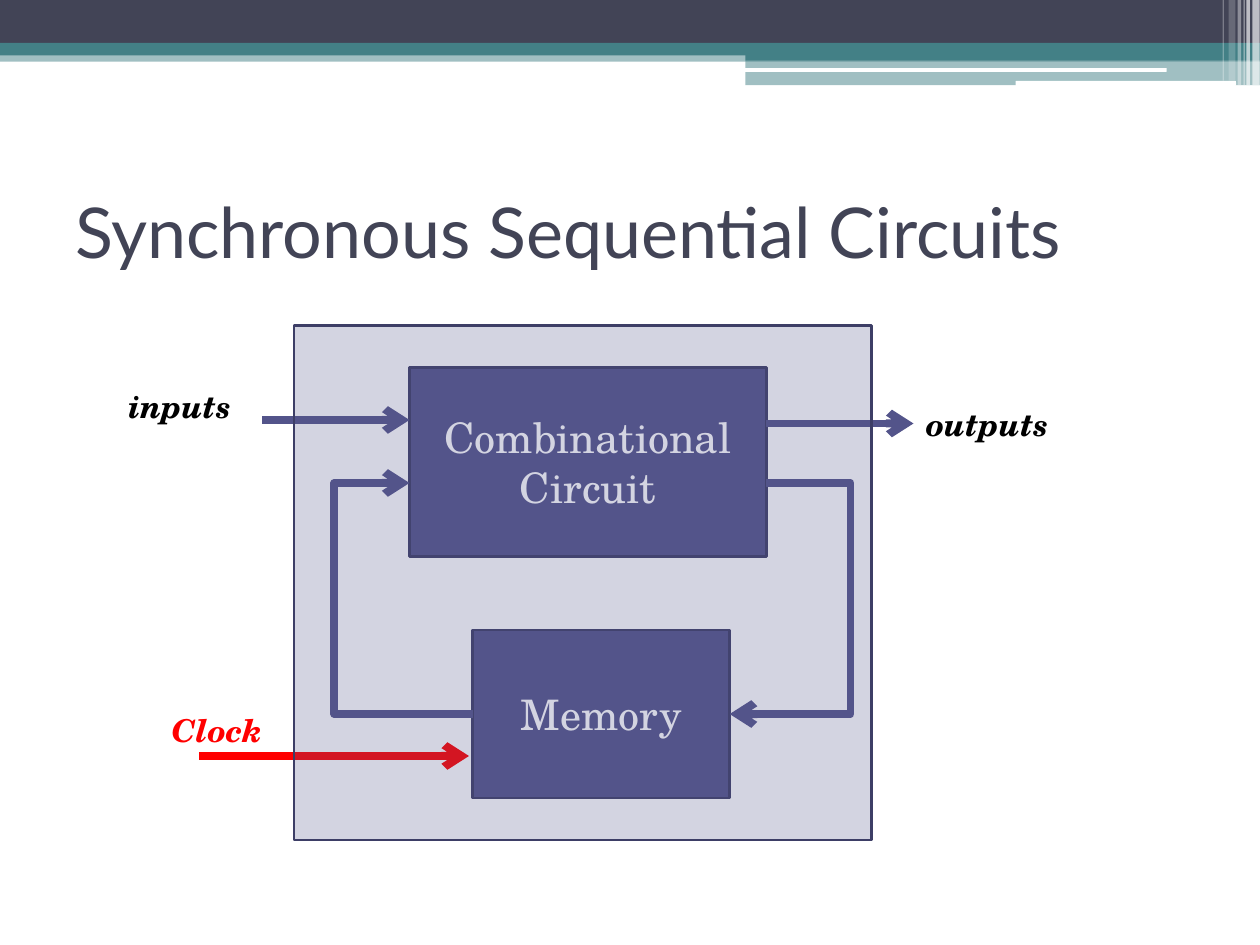
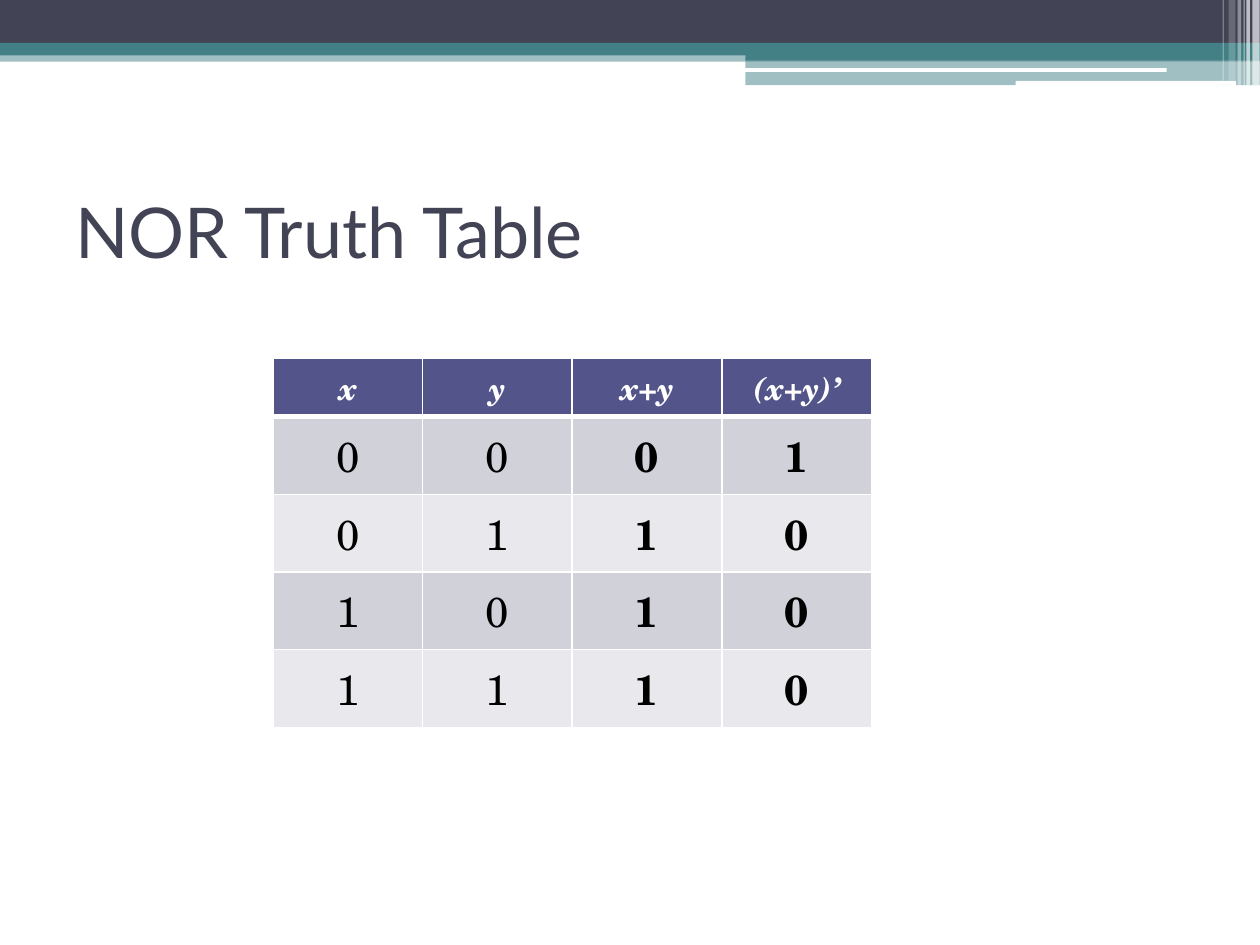
import dataclasses

import lxml.etree
import pptx
import pptx.dml.color
import pptx.enum.shapes
import pptx.enum.text
import pptx.oxml.ns
import pptx.util

Pt = pptx.util.Pt
qn = pptx.oxml.ns.qn
SHAPES = pptx.enum.shapes.MSO_SHAPE
CONNECTORS = pptx.enum.shapes.MSO_CONNECTOR
ALIGN = pptx.enum.text.PP_ALIGN
ANCHOR = pptx.enum.text.MSO_ANCHOR


@dataclasses.dataclass(frozen=True)
class Theme:
    title_font: str = "Lato"
    body_font: str = "TeX Gyre Schola"
    title_size: float = 40
    block_size: float = 24
    label_size: float = 18
    wire_width: float = 4.5
    outline_width: float = 1.5
    ink: str = "424456"
    teal: str = "438086"
    indigo: str = "53548A"
    outline: str = "3D3E66"
    clock: str = "FF0000"
    white: str = "FFFFFF"
    black: str = "000000"
    row_fills: tuple = ("D1D1DA", "E9E9ED")


THEME = Theme()


@dataclasses.dataclass(frozen=True)
class Box:
    left: float
    top: float
    width: float
    height: float

    def inner(self, left, top, width, height):
        return Box(self.left + left, self.top + top, width, height)

    def point(self, x, y):
        return self.left + x, self.top + y

    def lengths(self):
        return [Pt(v) for v in (self.left, self.top, self.width, self.height)]


PAGE = Box(0, 0, 720, 540)
TITLE = Box(36, 90, 648, 84)
DIAGRAM = Box(168, 186, 330, 294)
TRUTH_TABLE = Box(156, 204.5, 342, 211.2)


def rgb(color):
    return pptx.dml.color.RGBColor.from_string(color)


def style_text(paragraph, font, size, color, bold=False, italic=False):
    paragraph.font.name = font
    paragraph.font.size = Pt(size)
    paragraph.font.color.rgb = rgb(color)
    paragraph.font.bold = bold
    paragraph.font.italic = italic


def add_panel(slide, box, color, opacity=100, outline=None, kind=SHAPES.RECTANGLE):
    panel = slide.shapes.add_shape(kind, *box.lengths())
    panel.shadow.inherit = False
    panel.fill.solid()
    panel.fill.fore_color.rgb = rgb(color)
    if opacity < 100:
        fill_color = panel.element.xpath("./p:spPr/a:solidFill/a:srgbClr")[0]
        lxml.etree.SubElement(fill_color, qn("a:alpha"), val=str(opacity * 1000))
    if outline:
        panel.line.color.rgb = rgb(outline)
        panel.line.width = Pt(THEME.outline_width)
    else:
        panel.line.fill.background()
    return panel


def add_block(slide, box, name):
    block = add_panel(slide, box, THEME.indigo, outline=THEME.outline)
    block.text_frame.word_wrap = True
    block.text_frame.vertical_anchor = ANCHOR.MIDDLE
    paragraph = block.text_frame.paragraphs[0]
    paragraph.text = name
    paragraph.alignment = ALIGN.CENTER
    style_text(paragraph, THEME.body_font, THEME.block_size, THEME.white)


def add_label(slide, box, name, color=THEME.black):
    frame = slide.shapes.add_textbox(*box.lengths()).text_frame
    frame.word_wrap = False
    frame.auto_size = pptx.enum.text.MSO_AUTO_SIZE.SHAPE_TO_FIT_TEXT
    paragraph = frame.paragraphs[0]
    paragraph.text = name
    style_text(paragraph, THEME.body_font, THEME.label_size, color, True, True)


def add_wire(slide, start, end, color=THEME.indigo, lane=None):
    """Draw an arrow; lane is the x of the vertical run of a bent one."""
    kind = CONNECTORS.STRAIGHT if lane is None else CONNECTORS.ELBOW
    wire = slide.shapes.add_connector(kind, *[Pt(v) for v in (*start, *end)])
    wire.line.color.rgb = rgb(color)
    wire.line.width = Pt(THEME.wire_width)
    properties = wire.element.spPr
    lxml.etree.SubElement(properties.find(qn("a:ln")), qn("a:tailEnd"), type="arrow")
    lxml.etree.SubElement(properties, qn("a:effectLst"))
    if lane is not None:
        bend = round((lane - start[0]) / (end[0] - start[0]) * 100000)
        guides = properties.find(qn("a:prstGeom")).get_or_add_avLst()
        lxml.etree.SubElement(guides, qn("a:gd"), name="adj1", fmla=f"val {bend}")
        # A double flip is written as a half turn
        frame = properties.find(qn("a:xfrm"))
        if frame.get("flipH") and frame.get("flipV"):
            del frame.attrib["flipH"], frame.attrib["flipV"]
            frame.set("rot", "10800000")


def add_header_bands(slide, page):
    # Full-width bands, then the deeper step at the right
    for left, top, height, color, opacity in (
        (0, 28.8, 6.5, THEME.teal, 50),
        (0, 0, 24.5, THEME.ink, 100),
        (0, 24.5, 7.2, THEME.teal, 100),
        (426, 28, 6.7, THEME.teal, 100),
        (426, 34.7, 14, THEME.teal, 50),
    ):
        band = page.inner(left, top, page.width - left, height)
        add_panel(slide, band, color, opacity)

    # White rules
    for rule in ((425.5, 38.9, 241.2, 2.2), (580.3, 46.2, 126, 2.9)):
        add_panel(slide, page.inner(*rule), THEME.white, kind=SHAPES.ROUNDED_RECTANGLE)

    # Translucent stripes in the corner
    for left, width, height, opacity in (
        (715.6, 4.2, 48.7, 65),
        (712.2, 2, 48.7, 65),
        (710.6, 0.7, 48.7, 60),
        (707.2, 2, 48.7, 40),
        (702, 4, 46.1, 20),
        (698.7, 0.7, 46.1, 30),
    ):
        add_panel(slide, page.inner(left, 0, width, height), THEME.white, opacity)


def add_title(slide, box, title):
    frame = slide.shapes.add_textbox(*box.lengths()).text_frame
    frame.word_wrap = True
    frame.vertical_anchor = ANCHOR.MIDDLE
    paragraph = frame.paragraphs[0]
    paragraph.text = title
    style_text(paragraph, THEME.title_font, THEME.title_size, THEME.ink)


def add_circuit_diagram(slide, box):
    # Combinational circuit with its inputs and outputs
    add_block(slide, box.inner(66, 24, 204, 108), "Combinational Circuit")
    add_wire(slide, box.point(-18, 54), box.point(66, 54))
    add_label(slide, box.inner(-102, 31.5, 75, 29), "inputs")
    add_wire(slide, box.point(270, 56), box.point(354, 56))
    add_label(slide, box.inner(354, 42, 88, 29), "outputs")

    # Memory and the feedback loop
    add_block(slide, box.inner(102, 174, 147, 96), "Memory")
    right_lane, left_lane = box.left + 318, box.left + 23
    add_wire(slide, box.point(270, 90), box.point(249, 222), lane=right_lane)
    add_wire(slide, box.point(102, 222), box.point(66, 90), lane=left_lane)

    # Clock
    add_wire(slide, box.point(-54, 246), box.point(100, 246), THEME.clock)
    add_label(slide, box.inner(-77, 217, 67, 29), "Clock", THEME.clock)

    # Translucent system boundary lies over the blocks and wires
    add_panel(slide, box, THEME.indigo, 25, THEME.outline)


def add_cell_borders(cell, **widths):
    properties = cell._tc.get_or_add_tcPr()
    for side in "LRTB":
        width = Pt(widths.get(side, 1))
        border = lxml.etree.SubElement(properties, qn(f"a:ln{side}"), w=str(width))
        fill = lxml.etree.SubElement(border, qn("a:solidFill"))
        lxml.etree.SubElement(fill, qn("a:srgbClr"), val=THEME.white)


def add_truth_table(slide, box):
    header = ("x", "y", "x+y", "(x+y)’")
    inputs = [(x, y) for x in (0, 1) for y in (0, 1)]
    rows = [header] + [(x, y, x | y, 1 - (x | y)) for x, y in inputs]
    header_height = 33.6
    row_height = (box.height - header_height) / len(inputs)

    table = slide.shapes.add_table(len(rows), len(header), *box.lengths()).table
    table.first_row = table.horz_banding = False
    for column in table.columns:
        column.width = Pt(box.width / len(header))

    for r, values in enumerate(rows):
        is_header = r == 0
        table.rows[r].height = Pt(header_height if is_header else row_height)
        heavy = {0: {"B": 3}, 1: {"T": 3}}.get(r, {})
        for c, value in enumerate(values):
            cell = table.cell(r, c)
            add_cell_borders(cell, **heavy)
            cell.fill.solid()
            fill = THEME.indigo if is_header else THEME.row_fills[(r - 1) % 2]
            cell.fill.fore_color.rgb = rgb(fill)
            cell.vertical_anchor = ANCHOR.MIDDLE
            paragraph = cell.text_frame.paragraphs[0]
            paragraph.text = str(value)
            paragraph.alignment = ALIGN.CENTER
            if is_header:
                style_text(paragraph, THEME.body_font, THEME.label_size, THEME.white, True, True)
            else:
                is_result = c >= 2
                style_text(paragraph, THEME.body_font, THEME.block_size, THEME.black, is_result)


def main():
    deck = pptx.Presentation()
    deck.slide_width, deck.slide_height = Pt(PAGE.width), Pt(PAGE.height)
    blank = deck.slide_layouts[6]
    for title, add_content, box in (
        ("Synchronous Sequential Circuits", add_circuit_diagram, DIAGRAM),
        ("NOR Truth Table", add_truth_table, TRUTH_TABLE),
    ):
        slide = deck.slides.add_slide(blank)
        add_header_bands(slide, PAGE)
        add_title(slide, TITLE, title)
        add_content(slide, box)
    deck.save("out.pptx")


if __name__ == "__main__":
    main()
